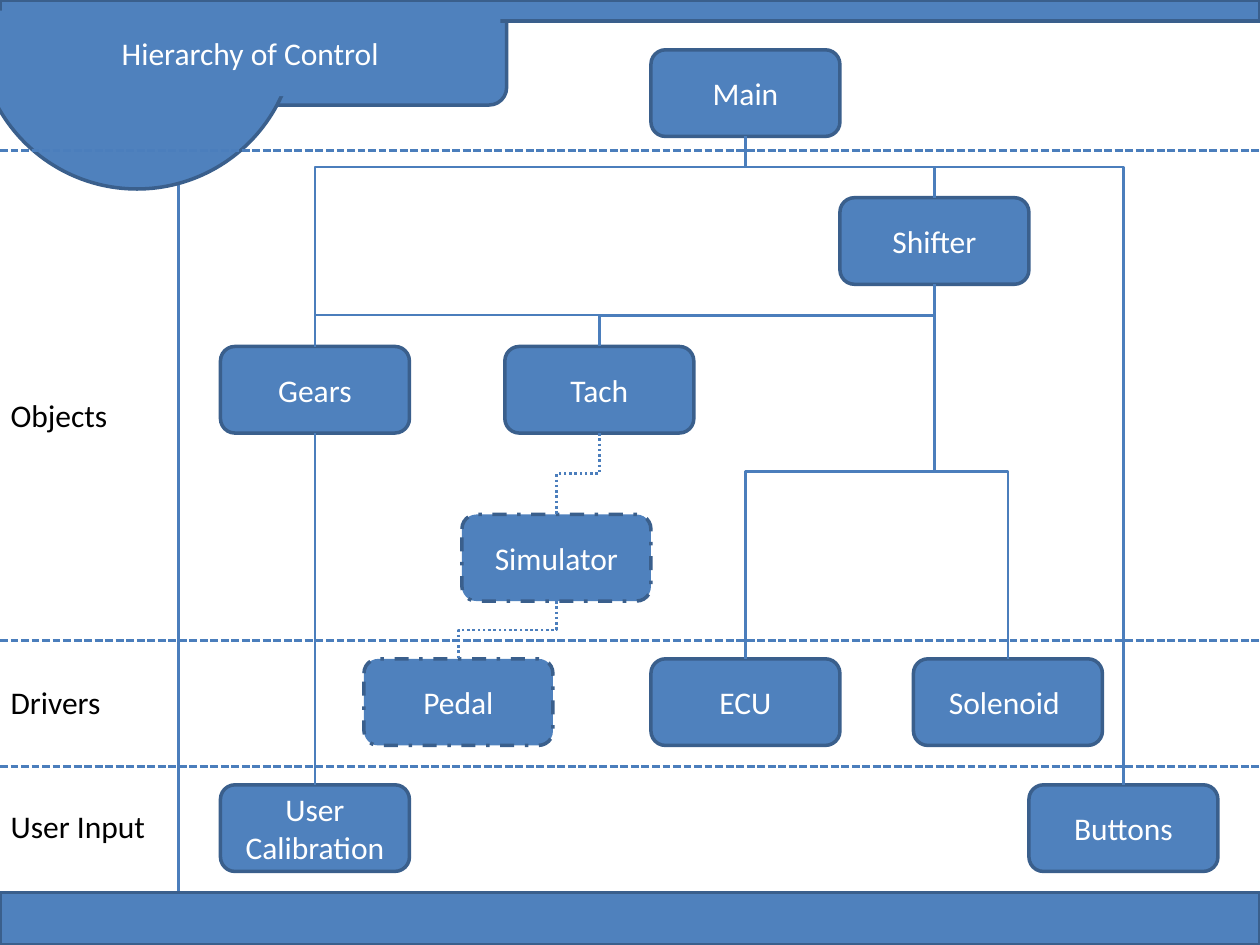
from pptx import Presentation
from pptx.dml.color import RGBColor
from pptx.enum.dml import MSO_LINE as Dash
from pptx.enum.shapes import MSO_CONNECTOR as Conn, MSO_SHAPE as Geo
from pptx.enum.text import MSO_ANCHOR as Anchor, PP_ALIGN as Align
from pptx.oxml.ns import qn
from pptx.util import Pt
from lxml import etree

FILL, EDGE, LINK, WHITE = "4F81BD", "3A5F8C", "4B7EBC", "FFFFFF"
WIDE, HIGH = 108, 49.5

rgb = RGBColor.from_string


def write(shape, text, color, align):
    frame = shape.text_frame
    frame.word_wrap = True
    para = frame.paragraphs[0]
    para.alignment = align
    run = para.add_run()
    run.text = text
    run.font.size = Pt(18)
    run.font.name = "Calibri"
    run.font.color.rgb = rgb(color)


def join(kind, x1, y1, x2, y2, dash=None):
    line = slide.shapes.add_connector(kind, Pt(x1), Pt(y1), Pt(x2), Pt(y2))
    line.line.color.rgb = rgb(LINK)
    line.line.width = Pt(1.5)
    if dash:
        line.line.dash_style = dash
    etree.SubElement(line._element.spPr, qn("a:effectLst"))
    return line


prs = Presentation()
prs.slide_width, prs.slide_height = Pt(720), Pt(540)
slide = prs.slides.add_slide(prs.slide_layouts[5])

# Column rule, then the frame that covers its lower end
join(Conn.STRAIGHT, 102, 86, 102, 540)

frame = [
    (Geo.ROUNDED_RECTANGLE, 0, 0, 289.5, 60),
    (Geo.OVAL, -12.5, -73.5, 181.5, 181.5),
    (Geo.RECTANGLE, 0, 0, 720, 12),
    (Geo.RECTANGLE, 0, 510, 720, 30),
]
boxes = {
    "Gears": (126, 198),
    "Shifter": (480, 113),
    "Main": (372, 28.5),
    "Simulator": (264, 294),
    "Tach": (288.5, 198),
    "Buttons": (588, 448.5),
    "User Calibration": (126, 448.5),
    "Pedal": (208, 376.5),
    "ECU": (372, 376.5),
    "Solenoid ": (522, 376.5),
}
parts = [(*part, None) for part in frame]
parts += [(Geo.ROUNDED_RECTANGLE, x, y, WIDE, HIGH, name) for name, (x, y) in boxes.items()]
for geo, x, y, w, h, name in parts:
    shape = slide.shapes.add_shape(geo, Pt(x), Pt(y), Pt(w), Pt(h))
    shape.shadow.inherit = False
    shape.fill.solid()
    shape.fill.fore_color.rgb = rgb(FILL)
    shape.line.color.rgb = rgb(EDGE)
    shape.line.width = Pt(2)
    if name:
        shape.text_frame.vertical_anchor = Anchor.MIDDLE
        write(shape, name, WHITE, Align.CENTER)
    if name in ("Simulator", "Pedal"):
        shape.line.dash_style = Dash.DASH_DOT

# The title lies over the corner shapes
title = slide.shapes.title
slide.shapes._spTree.append(title._element)
title.left, title.top, title.width, title.height = Pt(0), Pt(6), Pt(286), Pt(49)
title.fill.solid()
title.fill.fore_color.rgb = rgb(FILL)
title.text_frame.vertical_anchor = Anchor.MIDDLE
write(title, "Hierarchy of Control", WHITE, Align.CENTER)

# Links: upper box, lower box, height of the bend, dash
links = [
    ("Main", "Shifter", 95.5, None),
    ("Main", "Gears", 95.5, None),
    ("Main", "Buttons", 95.5, None),
    ("Shifter", "Gears", 180, None),
    ("Shifter", "Tach", 180.5, None),
    ("Tach", "Simulator", 270.75, Dash.ROUND_DOT),
    ("Simulator", "Pedal", 360, Dash.ROUND_DOT),
    ("Shifter", "ECU", 269.5, None),
    ("Shifter", "Solenoid ", 269.5, None),
]
for upper, lower, bend, dash in links:
    (x1, y1), (x2, y2) = boxes[upper], boxes[lower]
    y1 += HIGH
    # Elbows start sideways, so each is laid flat and turned about its centre
    mid_x, mid_y = (x1 + x2 + WIDE) / 2, (y1 + y2) / 2
    half, rise = (y2 - y1) / 2, abs(x2 - x1) / 2
    turn = 90
    if x2 > x1:
        half, turn = -half, 270
    link = join(Conn.ELBOW, mid_x - half, mid_y - rise, mid_x + half, mid_y + rise, dash)
    link._element.spPr.find(qn("a:xfrm")).set("rot", str(turn * 60000))
    guides = link._element.spPr.find(qn("a:prstGeom")).find(qn("a:avLst"))
    ratio = round((bend - y1) / (y2 - y1) * 100000)
    etree.SubElement(guides, qn("a:gd"), name="adj1", fmla=f"val {ratio}")

x, y = boxes["Gears"]
join(Conn.STRAIGHT, x + WIDE / 2, y + HIGH, x + WIDE / 2, boxes["User Calibration"][1])

for y in (438, 366, 86):
    join(Conn.STRAIGHT, 0, y, 720, y, Dash.SQUARE_DOT)

for text, y in (("User Input", 457.5), ("Drivers", 387), ("Objects", 222.5)):
    label = slide.shapes.add_textbox(Pt(-1), Pt(y), Pt(114), Pt(29))
    write(label, text, "000000", Align.LEFT)

# Dash names follow the preset values sysDot and sysDash
prs.save("out.pptx")
